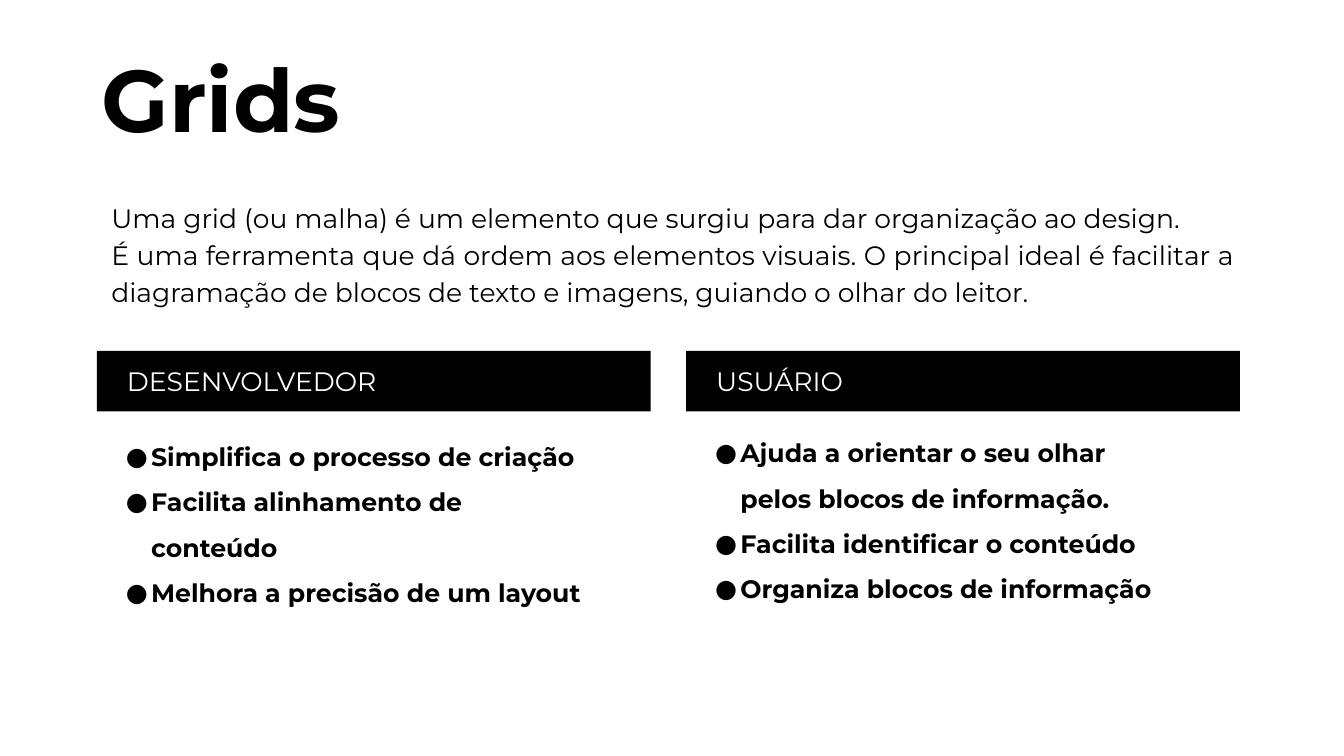
from lxml.etree import SubElement
from pptx import Presentation
from pptx.dml.color import RGBColor
from pptx.enum.shapes import MSO_SHAPE as Shape
from pptx.enum.text import MSO_ANCHOR as Anchor, PP_ALIGN as Align
from pptx.oxml.ns import qn
from pptx.util import Cm, Pt

BLACK = RGBColor(0, 0, 0)
WHITE = RGBColor(255, 255, 255)
FONT = "Montserrat"
LEFT = 4.88
COLUMN_STEP = 29.7
INDENT = Cm(1.27)

INTRO = [
    "Uma grid (ou malha) é um elemento que surgiu para dar organização ao design.",
    "É uma ferramenta que dá ordem aos elementos visuais. O principal ideal é "
    "facilitar a diagramação de blocos de texto e imagens, guiando o olhar do leitor.",
]
COLUMNS = [
    ("DESENVOLVEDOR", 21.36, [
        "Simplifica o processo de criação",
        "Facilita alinhamento de conteúdo",
        "Melhora a precisão de um layout",
    ]),
    ("USUÁRIO", 21.16, [
        "Ajuda a orientar o seu olhar pelos blocos de informação.",
        "Facilita identificar o conteúdo",
        "Organiza blocos de informação",
    ]),
]


def style(para, size, color=BLACK, bold=False, align=Align.LEFT):
    para.alignment = align
    para.font.name = FONT
    para.font.size = Pt(size)
    para.font.bold = bold
    para.font.color.rgb = color


def indent(para, first_line=0):
    props = para._p.get_or_add_pPr()
    props.set("marL", str(INDENT))
    props.set("indent", str(first_line))
    return props


def add_bullet(para):
    props = indent(para, -INDENT)
    color = SubElement(props, qn("a:buClr"))
    SubElement(color, qn("a:srgbClr"), val=str(BLACK))
    SubElement(props, qn("a:buFont"), typeface=FONT)
    SubElement(props, qn("a:buChar"), char="●")


def set_title(page, text):
    title = page.shapes.title
    title.left, title.top, title.width, title.height = Cm(LEFT), Cm(2.13), Cm(54.86), Cm(6.15)
    title.text = text
    title.text_frame.vertical_anchor = Anchor.TOP
    style(title.text_frame.paragraphs[0], 125, bold=True)


def add_text(page, left, top, width, height, lines):
    frame = page.shapes.add_textbox(Cm(left), Cm(top), Cm(width), Cm(height)).text_frame
    frame.word_wrap = True
    frame.text = "\n".join(lines)
    return frame


def add_intro(page):
    frame = add_text(page, 5.36, 9.7, 57.12, 7.42, INTRO)
    frame.margin_top = frame.margin_bottom = Cm(0.25)
    for para in frame.paragraphs:
        para.line_spacing = 1.15
        style(para, 38, align=Align.JUSTIFY)


def add_heading(page, left, text):
    bar = page.shapes.add_shape(Shape.RECTANGLE, Cm(left), Cm(17.68), Cm(27.91), Cm(3.05))
    bar.shadow.inherit = False
    bar.fill.solid()
    bar.fill.fore_color.rgb = BLACK
    bar.line.fill.background()
    bar.text_frame.text = text
    bar.text_frame.vertical_anchor = Anchor.MIDDLE
    para = bar.text_frame.paragraphs[0]
    indent(para)
    style(para, 38, WHITE)


def add_list(page, left, top, items):
    frame = add_text(page, left, top, 23.93, 13.89, items)
    for para in frame.paragraphs:
        add_bullet(para)
        para.line_spacing = 1.5
        style(para, 36, bold=True)


def main():
    deck = Presentation()
    deck.slide_width, deck.slide_height = Cm(67.74), Cm(38.1)
    page = deck.slides.add_slide(deck.slide_layouts[5])
    set_title(page, "Grids")
    add_intro(page)
    for index, (heading, list_top, items) in enumerate(COLUMNS):
        left = LEFT + index * COLUMN_STEP
        add_heading(page, left, heading)
        add_list(page, left + 1.22, list_top, items)
    deck.save("out.pptx")


if __name__ == "__main__":
    main()
